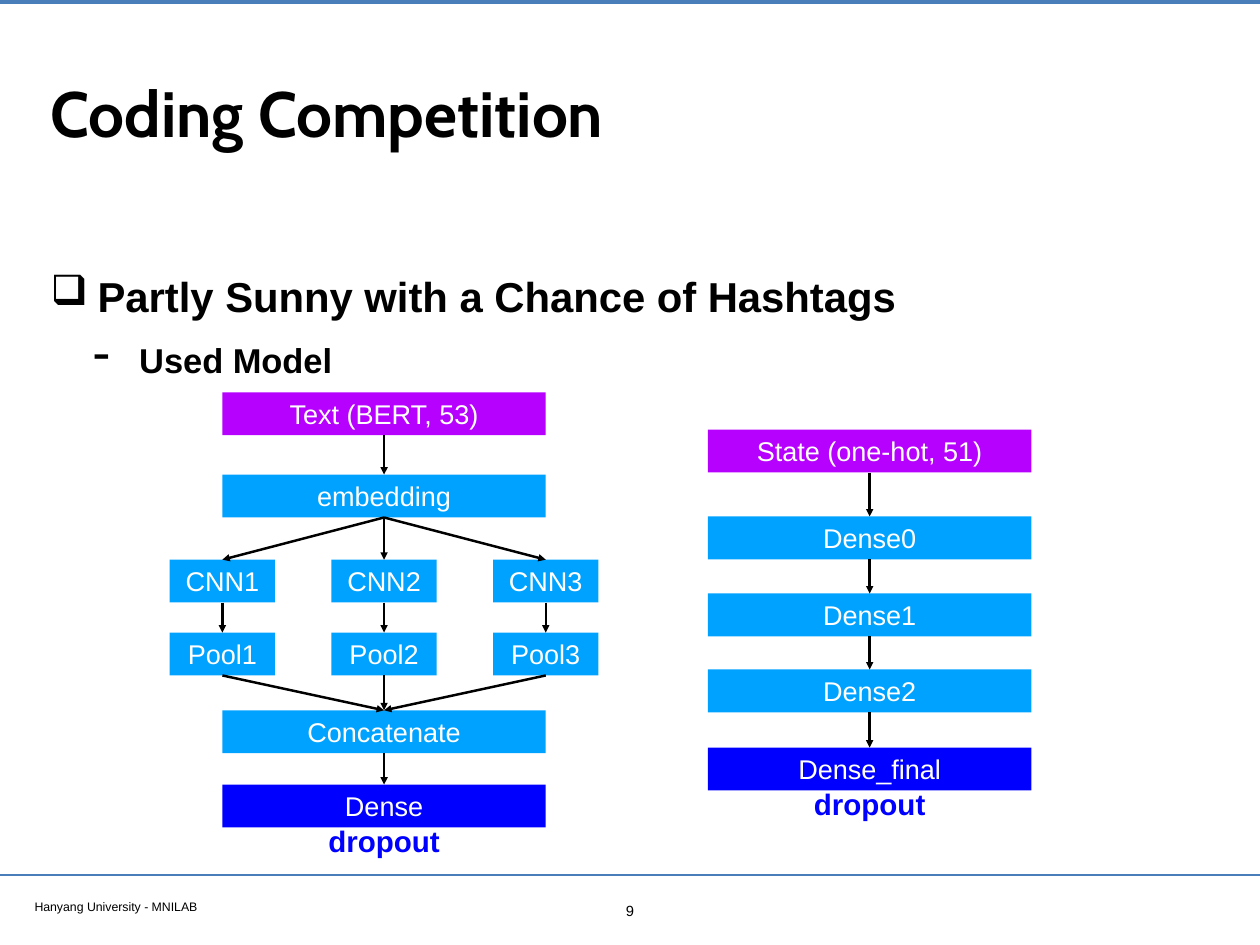
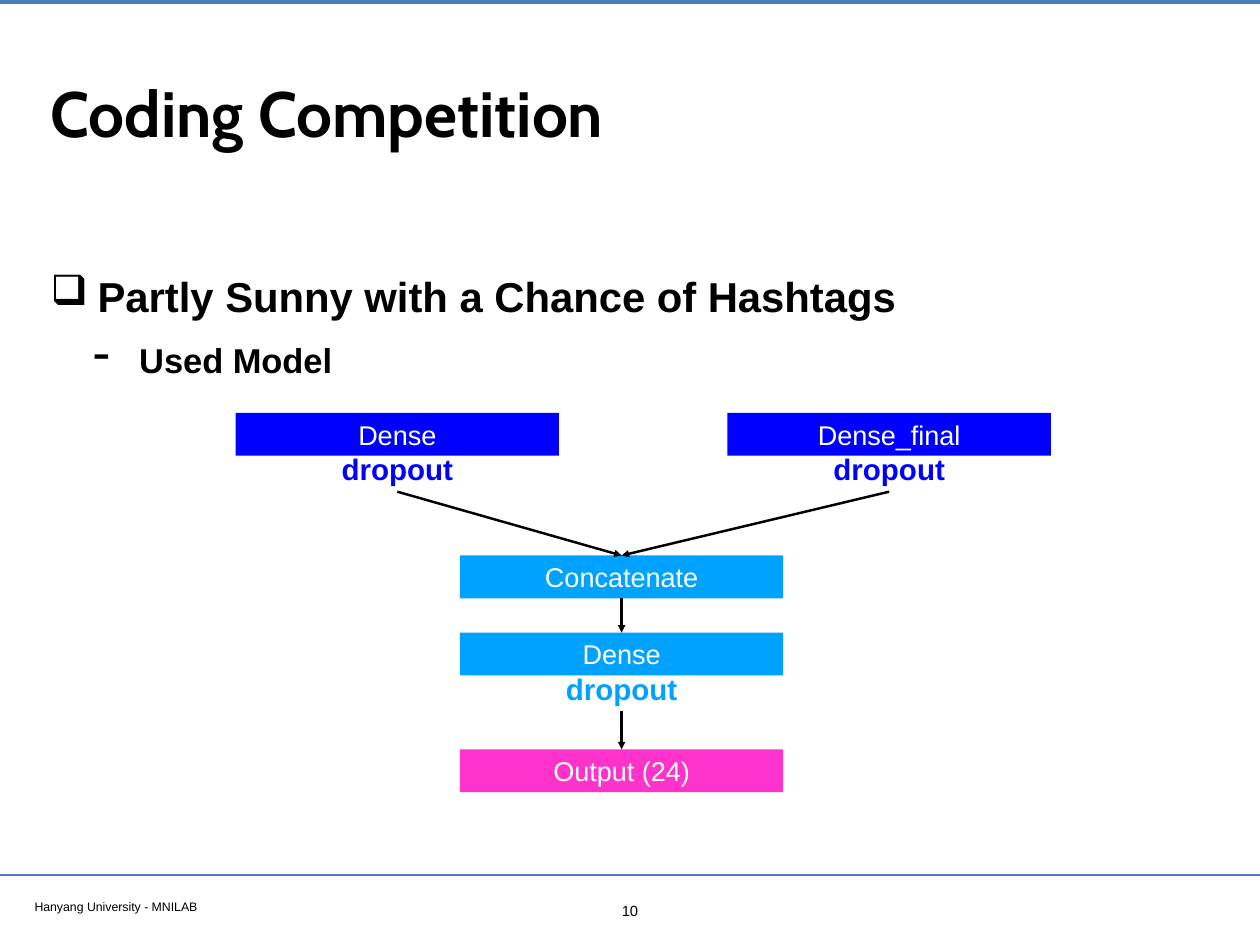
"""Build two slides that show a text and state classification model."""
from lxml.etree import SubElement
from pptx import Presentation
from pptx.dml.color import RGBColor
from pptx.enum.shapes import MSO_CONNECTOR as Connector, MSO_SHAPE as Preset
from pptx.enum.text import MSO_ANCHOR as Anchor, MSO_AUTO_SIZE as AutoSize, PP_ALIGN as Align
from pptx.oxml.ns import qn
from pptx.util import Cm, Pt

TITLE = "Coding Competition"
FOOTER = "Hanyang University - MNILAB"
FIRST_PAGE = 9
OUTLINE = [
    dict(text="Partly Sunny with a Chance of Hashtags", size=34, bullet="❑",
         bullet_size=100, left=1.35, hang=1.35, before=0),
    dict(text="Used Model", size=28, bullet="-",
         bullet_size=145, left=2.54, hang=1.32, before=8),
]

BLACK, WHITE, RULE = "000000", "FFFFFF", "4A7EBB"
INPUT, LAYER, FINAL, OUTPUT = "B601FF", "00A2FF", "0000FF", "FF33CC"

SLIDE_W, SLIDE_H = 36.12, 27.1
WIDE, NARROW, BOX_H = 9.27, 3.02, 1.23
DROP_W, DROP_H, DROP_OFFSET = 3.61, 1.32, 0.94
INSET = 0.15

TEXT_X, STATE_X = 11.01, 24.93
BRANCH_X = [TEXT_X + step * WIDE / 2 for step in (-1, 0, 1)]
BRANCHES = list(enumerate(BRANCH_X, start=1))
MERGE_X = 17.82

INPUT_SIDE = dict(
    boxes=[
        ("text", "Text (BERT, 53)", TEXT_X, 11.25, WIDE, INPUT),
        ("state", "State (one-hot, 51)", STATE_X, 12.32, WIDE, INPUT),
        ("embedding", "embedding", TEXT_X, 13.61, WIDE, LAYER),
        *[(f"cnn{n}", f"CNN{n}", x, 16.05, NARROW, LAYER) for n, x in BRANCHES],
        *[(f"pool{n}", f"Pool{n}", x, 18.14, NARROW, LAYER) for n, x in BRANCHES],
        ("concatenate", "Concatenate", TEXT_X, 20.37, WIDE, LAYER),
        ("dense", "Dense", TEXT_X, 22.5, WIDE, FINAL),
        ("dense0", "Dense0", STATE_X, 14.81, WIDE, LAYER),
        ("dense1", "Dense1", STATE_X, 17.02, WIDE, LAYER),
        ("dense2", "Dense2", STATE_X, 19.2, WIDE, LAYER),
        ("dense_final", "Dense_final", STATE_X, 21.44, WIDE, FINAL),
    ],
    dropouts=["dense", "dense_final"],
    paths=[
        ["text", "embedding"],
        *[["embedding", f"cnn{n}", f"pool{n}", "concatenate"] for n, _ in BRANCHES],
        ["concatenate", "dense"],
        ["state", "dense0", "dense1", "dense2", "dense_final"],
    ],
)
OUTPUT_SIDE = dict(
    boxes=[
        ("text_dense", "Dense", 11.39, 11.84, WIDE, FINAL),
        ("state_dense", "Dense_final", 25.49, 11.84, WIDE, FINAL),
        ("concatenate", "Concatenate", MERGE_X, 15.93, WIDE, LAYER),
        ("dense", "Dense", MERGE_X, 18.14, WIDE, LAYER),
        ("output", "Output (24)", MERGE_X, 21.49, WIDE, OUTPUT),
    ],
    dropouts=["text_dense", "state_dense", "dense"],
    paths=[
        ["text_dense", "concatenate", "dense", "output"],
        ["state_dense", "concatenate"],
    ],
)


def rgb(value):
    """Turn a hex string into a colour."""
    return RGBColor.from_string(value)


def setup_frame(frame, anchor=Anchor.TOP, wrap=True):
    """Set the margins, anchor and wrapping of a text frame."""
    frame.auto_size = AutoSize.NONE
    frame.word_wrap = wrap
    frame.vertical_anchor = anchor
    frame.margin_left = frame.margin_right = Cm(INSET)
    frame.margin_top = frame.margin_bottom = Cm(INSET)


def write(paragraph, text, size, color=BLACK, font="Arial", bold=False, align=Align.LEFT):
    """Put formatted text into a paragraph."""
    paragraph.alignment = align
    run = paragraph.add_run()
    run.text = text
    run.font.name, run.font.size, run.font.bold = font, Pt(size), bold
    run.font.color.rgb = rgb(color)


def add_label(slide, text, left, top, width, height, size, anchor=Anchor.TOP, wrap=True, **style):
    """Add a one-line text box."""
    label = slide.shapes.add_textbox(Cm(left), Cm(top), Cm(width), Cm(height))
    setup_frame(label.text_frame, anchor, wrap)
    write(label.text_frame.paragraphs[0], text, size, **style)
    return label


def add_line(slide, start=(0, 0), end=(0, 0), color=BLACK, weight=2):
    """Add a straight line without a shadow."""
    line = slide.shapes.add_connector(Connector.STRAIGHT, *map(Cm, start + end))
    line.line.color.rgb = rgb(color)
    line.line.width = Pt(weight)
    SubElement(line._element.spPr, qn("a:effectLst"))
    return line


def add_arrow(slide, source, target):
    """Join the bottom of one shape to the top of another."""
    arrow = add_line(slide)
    arrow.begin_connect(source, 2)
    arrow.end_connect(target, 0)
    SubElement(arrow.line._get_or_add_ln(), qn("a:tailEnd"), type="triangle")


def add_box(slide, text, center, top, width, color):
    """Add a filled layer box."""
    box = slide.shapes.add_shape(
        Preset.RECTANGLE, Cm(center - width / 2), Cm(top), Cm(width), Cm(BOX_H))
    box.shadow.inherit = False
    box.fill.solid()
    box.fill.fore_color.rgb = rgb(color)
    box.line.fill.background()
    setup_frame(box.text_frame, Anchor.MIDDLE)
    write(box.text_frame.paragraphs[0], text, 22, color=WHITE, align=Align.CENTER)
    return box


def add_outline(slide):
    """Add the bulleted heading and subheading."""
    body = slide.shapes.add_textbox(Cm(1.3), Cm(7.32), Cm(32.87), Cm(4.39))
    frame = body.text_frame
    setup_frame(frame)
    for index, item in enumerate(OUTLINE):
        paragraph = frame.add_paragraph() if index else frame.paragraphs[0]
        paragraph.level = index
        paragraph.line_spacing = 1.2
        paragraph.space_before = Pt(item["before"])
        props = paragraph._p.get_or_add_pPr()
        props.set("marL", str(Cm(item["left"])))
        props.set("indent", str(-Cm(item["hang"])))
        SubElement(props, qn("a:buSzPct"), val=str(item["bullet_size"] * 1000))
        SubElement(props, qn("a:buChar"), char=item["bullet"])
        write(paragraph, item["text"], item["size"], bold=True)


def add_base(deck, page):
    """Add a slide with the title, rules, footer and outline."""
    slide = deck.slides.add_slide(deck.slide_layouts[5])
    add_line(slide, (0, 0.05), (SLIDE_W, 0.05), RULE, 3.2)
    add_line(slide, (0, 25.1), (SLIDE_W, 25.1), RULE)
    add_label(slide, FOOTER, 0.84, 25.63, 13.87, 0.66, 10)
    title = slide.shapes.title
    title.left, title.top, title.width, title.height = map(Cm, (1.3, 0.71, 33.55, 5))
    setup_frame(title.text_frame, Anchor.MIDDLE)
    write(title.text_frame.paragraphs[0], TITLE, 52, font="Cabin", bold=True)
    add_outline(slide)
    add_label(slide, str(page), (SLIDE_W - 1) / 2, 25.7, 1, 0.79, 12, align=Align.CENTER)
    return slide


def add_model(slide, model):
    """Draw the layers, dropout labels and arrows of a model."""
    tops, bottoms = {}, {}
    for key, text, center, top, width, color in model["boxes"]:
        tops[key] = bottoms[key] = add_box(slide, text, center, top, width, color)
        if key in model["dropouts"]:
            bottoms[key] = add_label(
                slide, "dropout", center - DROP_W / 2, top + DROP_OFFSET, DROP_W, DROP_H, 24,
                anchor=Anchor.MIDDLE, wrap=False, color=color, bold=True, align=Align.CENTER)
    links = dict.fromkeys(pair for path in model["paths"] for pair in zip(path, path[1:]))
    for source, target in links:
        add_arrow(slide, bottoms[source], tops[target])


def main():
    """Build and save the deck."""
    deck = Presentation()
    deck.slide_width, deck.slide_height = Cm(SLIDE_W), Cm(SLIDE_H)
    for page, model in enumerate((INPUT_SIDE, OUTPUT_SIDE), start=FIRST_PAGE):
        add_model(add_base(deck, page), model)
    deck.save("out.pptx")


if __name__ == "__main__":
    main()
